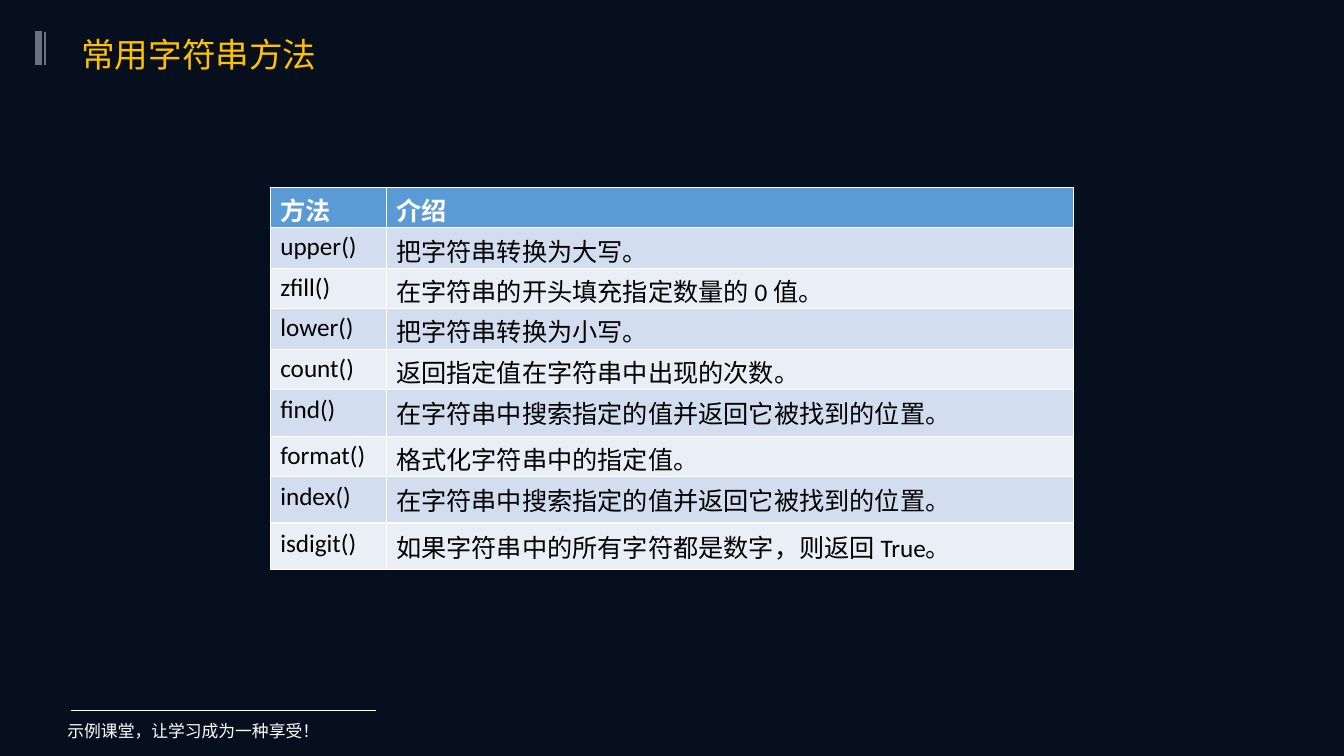
from lxml.etree import SubElement
from pptx import Presentation
from pptx.dml.color import RGBColor
from pptx.enum.shapes import MSO_CONNECTOR as Connector, MSO_SHAPE as Shape
from pptx.enum.text import MSO_ANCHOR as Anchor, PP_ALIGN as Align
from pptx.oxml.ns import qn
from pptx.util import Cm, Pt

TITLE = "常用字符串方法"
FOOTER = "示例课堂，让学习成为一种享受！"
HEADER = ("方法", "介绍")
METHODS = [
    ("upper()", "把字符串转换为大写。"),
    ("zfill()", "在字符串的开头填充指定数量的 0 值。"),
    ("lower()", "把字符串转换为小写。"),
    ("count()", "返回指定值在字符串中出现的次数。"),
    ("find()", "在字符串中搜索指定的值并返回它被找到的位置。"),
    ("format()", "格式化字符串中的指定值。"),
    ("index()", "在字符串中搜索指定的值并返回它被找到的位置。"),
    ("isdigit()", "如果字符串中的所有字符都是数字，则返回 True。"),
]
TALL_ROWS = {"find()", "index()", "isdigit()"}

THEME = {
    "background": "060F1E", "title": "FFC000", "light": "FFFFFF",
    "dark": "000000", "accent": "6A727E", "header": "5B9BD5",
    "bands": ("D2DEEF", "EAEFF7"),
    "latin": "Calibri", "chinese": "Noto Sans CJK SC",
    "title_size": 24, "table_size": 18, "footer_size": 12,
}
# x1, y1, x2, y2 in cm, colour, width in points
RULES = [
    (1.78, 17.91, 9.47, 17.91, "light", 0.5),
    (0.97, 0.79, 0.97, 1.65, "accent", 4.5),
    (1.14, 0.81, 1.14, 1.63, "accent", 1.5),
]
TABLE_LEFT, TABLE_TOP = 6.81, 4.72
COLUMN_WIDTHS = (2.92, 17.32)
SHORT_ROW, TALL_ROW = 1.02, 1.17


def color(value):
    return RGBColor.from_string(value)


def write(frame, text, size, ink, font=THEME["chinese"], bold=False):
    paragraph = frame.paragraphs[0]
    paragraph.alignment = Align.LEFT
    run = paragraph.add_run()
    run.text = text
    for name, value in {"size": Pt(size), "name": font, "bold": bold}.items():
        setattr(run.font, name, value)
    run.font.color.rgb = color(ink)
    east_asian = SubElement(run.font._element, qn("a:ea"))
    east_asian.set("typeface", THEME["chinese"])


def add_rule(slide, x1, y1, x2, y2, ink, width):
    rule = slide.shapes.add_connector(
        Connector.STRAIGHT, Cm(x1), Cm(y1), Cm(x2), Cm(y2))
    rule.line.color.rgb = color(THEME[ink])
    rule.line.width = Pt(width)
    SubElement(rule._element.spPr, qn("a:effectLst"))


def add_title(slide):
    title = slide.shapes.add_shape(
        Shape.ROUNDED_RECTANGLE, Cm(1.7), Cm(0.64), Cm(18.92), Cm(1.47))
    title.adjustments[0] = 0.23
    title.shadow.inherit = False
    title.fill.background()
    title.line.fill.background()
    title.text_frame.vertical_anchor = Anchor.MIDDLE
    write(title.text_frame, TITLE, THEME["title_size"], THEME["title"])


def add_footer(slide):
    footer = slide.shapes.add_textbox(Cm(1.45), Cm(18.03), Cm(10.13), Cm(0.76))
    footer.text_frame.word_wrap = True
    write(footer.text_frame, FOOTER, THEME["footer_size"], THEME["light"])


def add_method_table(slide):
    rows = [HEADER, *METHODS]
    heights = [TALL_ROW if row[0] in TALL_ROWS else SHORT_ROW for row in rows]
    table = slide.shapes.add_table(
        len(rows), len(HEADER), Cm(TABLE_LEFT), Cm(TABLE_TOP),
        Cm(sum(COLUMN_WIDTHS)), Cm(sum(heights))).table
    for column, width in zip(table.columns, COLUMN_WIDTHS):
        column.width = Cm(width)
    for r, (texts, height) in enumerate(zip(rows, heights)):
        table.rows[r].height = Cm(height)
        is_header = r == 0
        fill = THEME["header"] if is_header else THEME["bands"][(r - 1) % 2]
        ink = THEME["light"] if is_header else THEME["dark"]
        for c, text in enumerate(texts):
            cell = table.cell(r, c)
            cell.fill.solid()
            cell.fill.fore_color.rgb = color(fill)
            if height == SHORT_ROW:
                cell.margin_top, cell.margin_bottom = Cm(0.1), Cm(0)
            write(cell.text_frame, text, THEME["table_size"], ink,
                  THEME["latin"], is_header)


def main():
    deck = Presentation()
    deck.slide_width, deck.slide_height = Cm(33.87), Cm(19.05)
    slide = deck.slides.add_slide(deck.slide_layouts[6])
    slide.background.fill.solid()
    slide.background.fill.fore_color.rgb = color(THEME["background"])
    add_footer(slide)
    for rule in RULES:
        add_rule(slide, *rule)
    add_method_table(slide)
    add_title(slide)
    deck.save("out.pptx")


if __name__ == "__main__":
    main()
